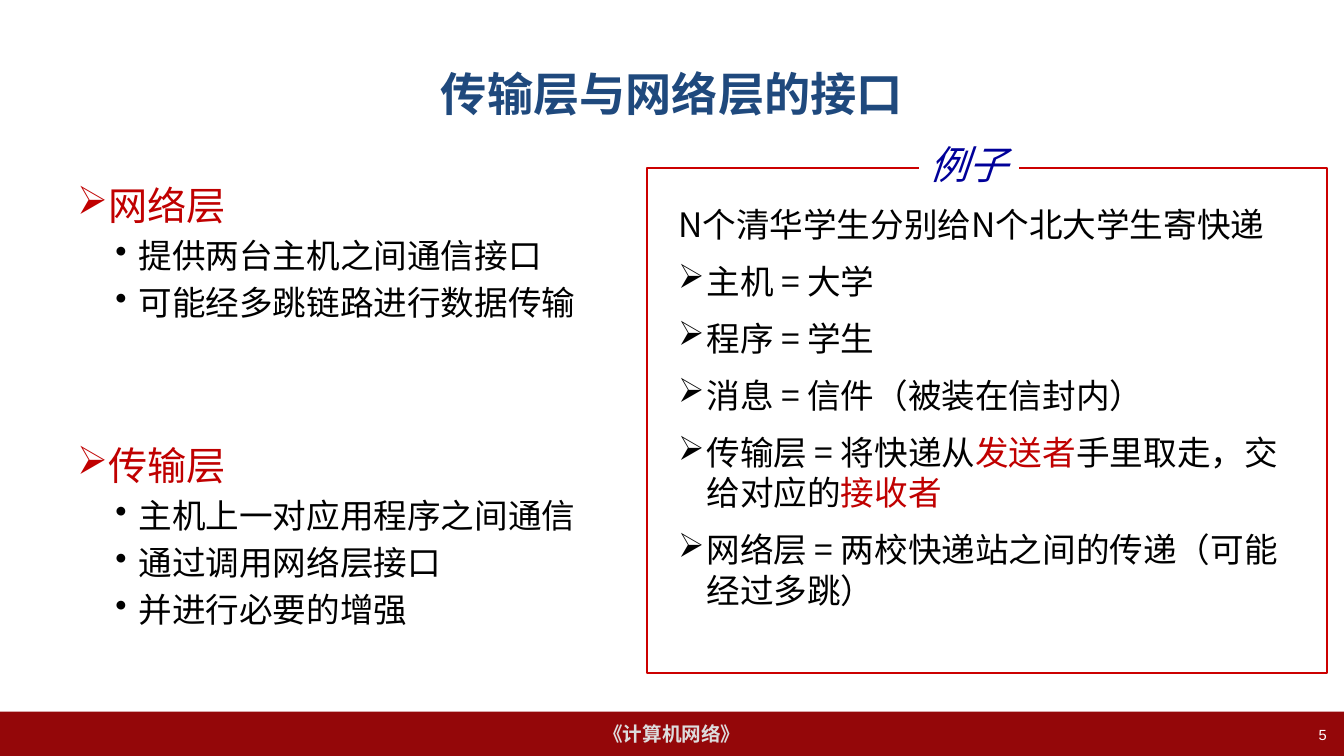
import pptx
import pptx.util
import pptx.enum.shapes
import pptx.enum.text
import pptx.dml.color
import pptx.oxml.ns
from lxml import etree

Pt = pptx.util.Pt
ALIGN = pptx.enum.text.PP_ALIGN
ANCHOR = pptx.enum.text.MSO_ANCHOR

# Content
TITLE = "传输层与网络层的接口"
COURSE = "《计算机网络》"
PAGE = "5"
LABEL = "例子"
LAYERS = [
    (126, "网络层", ["提供两台主机之间通信接口", "可能经多跳链路进行数据传输"]),
    (311.8, "传输层", ["主机上一对应用程序之间通信", "通过调用网络层接口", "并进行必要的增强"]),
]
INTRO = "N个清华学生分别给N个北大学生寄快递"
# Every second piece of a line is stressed
PAIRS = [
    ["主机 = 大学"],
    ["程序 = 学生"],
    ["消息 = 信件（被装在信封内）"],
    ["传输层 = 将快递从", "发送者", "手里取走，交给对应的", "接收者"],
    ["网络层 = 两校快递站之间的传递（可能经过多跳）"],
]

THEME = {
    "bar": "940709", "course": "DDDDDD", "title": "1F497D", "stress": "C00000",
    "text": "000000", "frame": "CC0000", "label": "000099", "white": "FFFFFF",
    "font": "Arial", "cjk": "Noto Sans CJK SC", "accent": "Cabin",
    "big": 33, "head": 28, "body": 24, "foot": 14, "page": 10.5,
}

# Level: left margin, hanging indent, space before as a share of type size
TOP = (20.16, -20.16, 0.5)
SUB = (43.92, -16.56, 0.2)

deck = pptx.Presentation()
deck.slide_width, deck.slide_height = Pt(960), Pt(540)
slide = deck.slides.add_slide(deck.slide_layouts[6])


def tint(name):
    return pptx.dml.color.RGBColor.from_string(THEME[name])


def add_box(x, y, w, h, fill=None, line=None):
    box = slide.shapes.add_shape(
        pptx.enum.shapes.MSO_SHAPE.RECTANGLE, Pt(x), Pt(y), Pt(w), Pt(h))
    box.shadow.inherit = False
    if fill:
        box.fill.solid()
        box.fill.fore_color.rgb = tint(fill)
    else:
        box.fill.background()
    if line:
        box.line.color.rgb = tint(line)
        box.line.width = Pt(1.5)
    else:
        box.line.fill.background()
    return box


def add_text(x, y, w, h, anchor=ANCHOR.TOP):
    frame = slide.shapes.add_textbox(Pt(x), Pt(y), Pt(w), Pt(h)).text_frame
    frame.word_wrap = True
    frame.vertical_anchor = anchor
    return frame


def add_run(para, text, size, color, font="font", bold=False, slant=False):
    run = para.add_run()
    run.text = text
    face = run.font
    face.name, face.size = THEME[font], Pt(THEME[size])
    face.bold, face.italic = bold, slant
    face.color.rgb = tint(color)


def add_para(frame, level, size, mark=None):
    first = not frame.paragraphs[0].runs
    para = frame.paragraphs[0] if first else frame.add_paragraph()
    left, hang, share = level
    props = para._p.get_or_add_pPr()
    props.set("marL", str(Pt(left)))
    props.set("indent", str(Pt(hang)))
    if not first:
        para.space_before = Pt(THEME[size] * share)
    if mark:
        bullet = etree.SubElement(props, pptx.oxml.ns.qn("a:buChar"))
        bullet.set("char", mark)
    return para


# Footer bar
bar = add_box(0, 508.3, 960, 31.7, fill="bar").text_frame
bar.word_wrap = False
bar.vertical_anchor = ANCHOR.MIDDLE
bar.paragraphs[0].alignment = ALIGN.CENTER
add_run(bar.paragraphs[0], COURSE, "foot", "course", bold=True)

page = add_text(730.8, 514.8, 224, 25.2).paragraphs[0]
page.alignment = ALIGN.RIGHT
add_run(page, PAGE, "page", "white")

# Title
title = add_text(48, 21.6, 864, 90, ANCHOR.MIDDLE).paragraphs[0]
title.alignment = ALIGN.CENTER
add_run(title, TITLE, "big", "title", bold=True)

# Layers on the left
for y, name, points in LAYERS:
    frame = add_text(48, y, 426, 182)
    add_run(add_para(frame, TOP, "head", "➢"), name, "head", "stress")
    for point in points:
        add_run(add_para(frame, SUB, "body", "•"), point, "body", "text")

# Example on the right
frame = add_text(477.4, 141.8, 455.8, 334.8)
add_run(add_para(frame, TOP, "body"), INTRO, "body", "text", "cjk")
for pieces in PAIRS:
    para = add_para(frame, TOP, "body", "➢")
    for i, piece in enumerate(pieces):
        add_run(para, piece, "body", "stress" if i % 2 else "text", "cjk")

# Frame with its label set into the top edge
add_box(462.2, 120.2, 486, 360.7, line="frame")
label = add_box(656.6, 103, 71.3, 34.6, fill="white").text_frame
label.word_wrap = False
label.vertical_anchor = ANCHOR.TOP
label.paragraphs[0].alignment = ALIGN.LEFT
label.paragraphs[0].line_spacing = 0.8
add_run(label.paragraphs[0], LABEL, "head", "label", "accent", slant=True)

deck.save("out.pptx")
